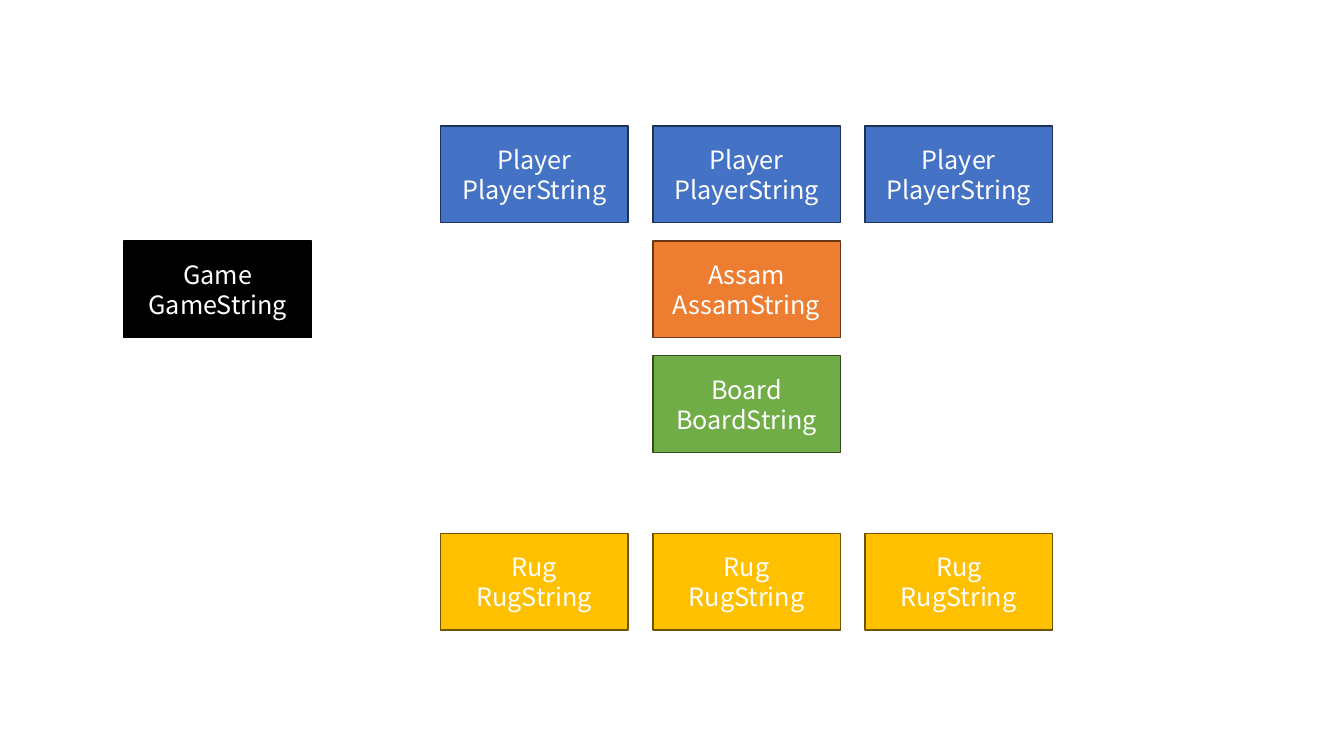
from pptx import Presentation
from pptx.dml.color import RGBColor
from pptx.enum.shapes import MSO_SHAPE
from pptx.enum.text import MSO_ANCHOR, PP_ALIGN
from pptx.util import Inches, Pt

FONT = "Noto Sans CJK SC"
BOX_WIDTH, BOX_HEIGHT = 1.86, 0.96
COLUMN_PITCH, ROW_PITCH = 2.105, 1.14
GAME_LEFT, GRID_LEFT = 1.23, 4.37
GRID_TOP, RUG_TOP = 1.25, 5.29


def color(value):
    return RGBColor.from_string(value)


def add_class_box(page, left, top, name, fill, line):
    box = page.shapes.add_shape(
        MSO_SHAPE.RECTANGLE,
        Inches(left), Inches(top), Inches(BOX_WIDTH), Inches(BOX_HEIGHT),
    )
    box.shadow.inherit = False
    box.fill.solid()
    box.fill.fore_color.rgb = color(fill)
    box.line.color.rgb = color(line)
    box.line.width = Pt(1)
    frame = box.text_frame
    frame.word_wrap = True
    frame.vertical_anchor = MSO_ANCHOR.MIDDLE
    for index, label in enumerate((name, f"{name}String")):
        para = frame.paragraphs[0] if index == 0 else frame.add_paragraph()
        para.alignment = PP_ALIGN.CENTER
        span = para.add_run()
        span.text = label
        span.font.name = FONT
        span.font.size = Pt(18)
        span.font.color.rgb = color("FFFFFF")


def add_class_row(page, left, top, count, name, fill, line):
    for column in range(count):
        add_class_box(page, left + column * COLUMN_PITCH, top, name, fill, line)


def add_class_diagram(page):
    middle = GRID_LEFT + COLUMN_PITCH
    second_row = GRID_TOP + ROW_PITCH
    third_row = second_row + ROW_PITCH
    add_class_row(page, GRID_LEFT, GRID_TOP, 3, "Player", "4472C4", "1E3256")
    add_class_box(page, middle, second_row, "Assam", "ED7D31", "683715")
    add_class_box(page, middle, third_row, "Board", "70AD47", "314C1F")
    add_class_box(page, GAME_LEFT, second_row, "Game", "000000", "000000")
    add_class_row(page, GRID_LEFT, RUG_TOP, 3, "Rug", "FFC000", "705400")


def main():
    deck = Presentation()
    deck.slide_width = Inches(13.33)
    deck.slide_height = Inches(7.5)
    page = deck.slides.add_slide(deck.slide_layouts[6])
    add_class_diagram(page)
    deck.save("out.pptx")


if __name__ == "__main__":
    main()
